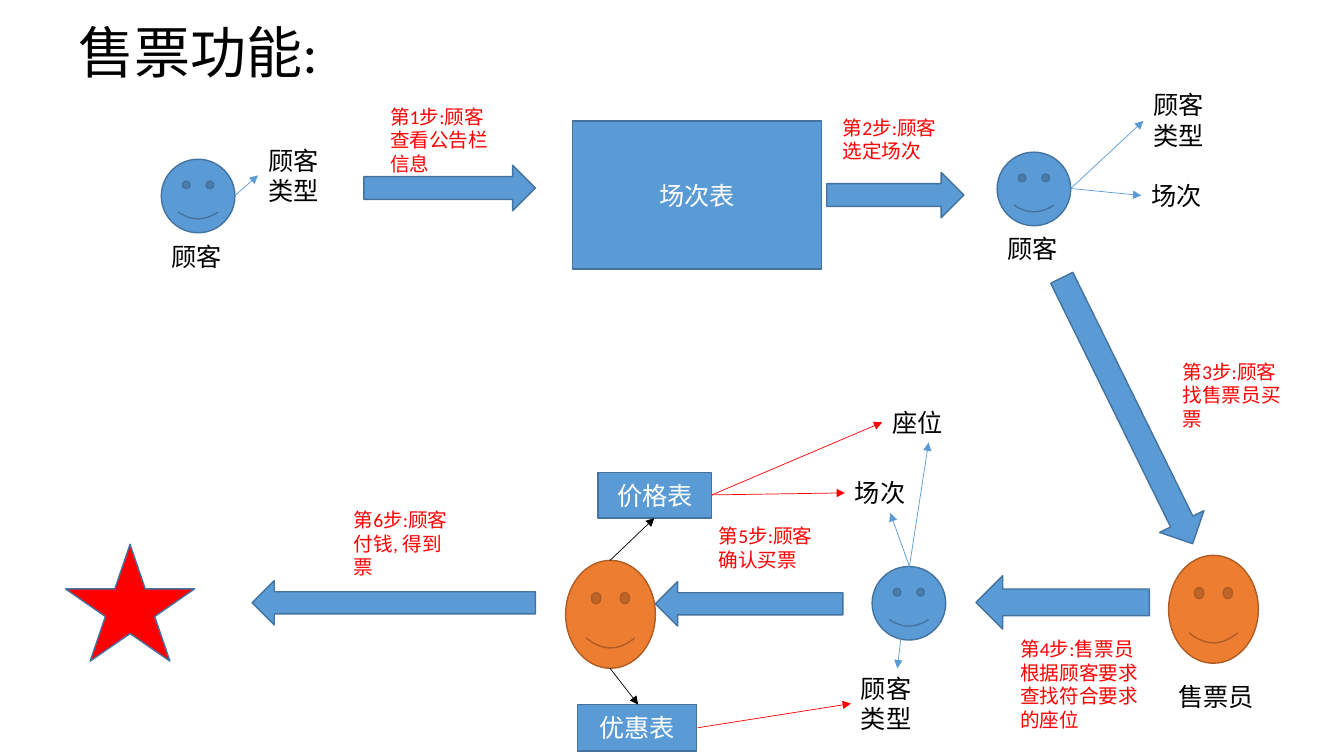
from pptx import Presentation
from pptx.dml.color import RGBColor
from pptx.enum.shapes import MSO_CONNECTOR as Connector, MSO_SHAPE as Shape
from pptx.enum.text import MSO_ANCHOR as Anchor, MSO_AUTO_SIZE as AutoSize, PP_ALIGN as Align
from pptx.oxml.ns import qn
from pptx.util import Inches, Pt
from lxml.etree import SubElement

COLORS = {
    "blue": "5B9BD5", "blue edge": "43739E",
    "orange": "ED7D31", "orange edge": "AF5C24",
    "red": "FF0000", "black": "000000", "white": "FFFFFF",
}
FACE = (0.73, 0.73)
SELLER = (0.89, 1.07)
SHORT = (0.91, 0.4)
TALL = (0.91, 0.71)

FACES = [
    ((1.6, 1.58), FACE, "blue"),
    ((9.89, 1.51), FACE, "blue"),
    ((8.65, 5.62), FACE, "blue"),
    ((11.59, 5.51), SELLER, "orange"),
    ((5.61, 5.56), SELLER, "orange"),
]
BLOCK_ARROWS = [
    ((3.61, 1.64), (1.7, 0.45), 0),
    ((8.2, 1.71), (1.36, 0.45), 0),
    ((9.71, 3.83), (2.94, 0.49), 63.8),
    ((9.68, 5.71), (1.72, 0.53), 180),
    ((6.5, 5.77), (1.86, 0.44), 180),
    ((2.5, 5.76), (2.81, 0.44), 180),
]
TABLES = [
    ("场次表", (5.68, 1.2), (2.47, 1.47)),
    ("价格表", (5.93, 4.69), (1.13, 0.45)),
    ("优惠表", (5.73, 6.99), (1.18, 0.46)),
]
LABELS = [
    ("顾客", (1.6, 2.34), (0.73, 0.4)),
    ("顾客类型", (2.56, 1.39), TALL),
    ("顾客", (9.89, 2.27), (0.73, 0.4)),
    ("顾客类型", (11.34, 0.84), TALL),
    ("场次", (11.32, 1.74), SHORT),
    ("售票员", (11.59, 6.71), (1.24, 0.4)),
    ("顾客类型", (8.44, 6.63), TALL),
    ("场次", (8.38, 4.69), SHORT),
    ("座位", (8.75, 3.99), SHORT),
]
STEPS = [
    ("顾客查看公告栏信息", (3.77, 0.99), (1.2, 0.81)),
    ("顾客选定场次", (8.26, 1.1), (1.2, 0.57)),
    ("顾客找售票员买票", (11.63, 3.52), (1.2, 0.81)),
    ("售票员根据顾客要求查找符合要求的座位", (10.02, 6.27), (1.38, 1.04)),
    ("顾客确认买票", (7.03, 5.15), (1.2, 0.57)),
    ("顾客付钱, 得到票", (3.41, 4.99), (1.2, 0.81)),
]
LINKS = [
    ("blue", (2.33, 1.94), [(2.56, 1.74)]),
    ("blue", (10.62, 1.87), [(11.34, 1.2), (11.32, 1.94)]),
    ("blue", (9.02, 5.62), [(8.9, 6.63), (8.83, 5.09), (9.21, 4.39)]),
    ("black", (6.05, 6.63), [(6.33, 6.99)]),
    ("black", (6.05, 5.56), [(6.49, 5.14)]),
    ("red", (7.06, 4.91), [(8.38, 4.89), (8.75, 4.19)]),
    ("red", (6.92, 7.22), [(8.44, 6.98)]),
]


def color(name):
    """Return the named colour."""
    return RGBColor.from_string(COLORS[name])


def apply(target, values):
    """Set each attribute in values on target."""
    for name, value in values.items():
        setattr(target, name, value)


def write(box, text, size, ink, para_format=None, **frame_format):
    """Put one formatted paragraph in a box."""
    apply(box.text_frame, {"word_wrap": True, **frame_format})
    para = box.text_frame.paragraphs[0]
    apply(para, para_format or {})
    span = para.add_run()
    span.text = text
    apply(span.font, {"name": "Calibri", "size": Pt(size)})
    span.font.color.rgb = color(ink)


def add_label(page, text, place, size, points=18, ink="black"):
    """Add a left-aligned text box."""
    box = page.shapes.add_textbox(*map(Inches, place + size))
    write(box, text, points, ink, auto_size=AutoSize.SHAPE_TO_FIT_TEXT)


def add_figure(page, kind, place, size, fill="blue", edge="blue edge", turn=0):
    """Add a filled and outlined preset shape."""
    figure = page.shapes.add_shape(kind, *map(Inches, place + size))
    figure.shadow.inherit = False
    figure.fill.solid()
    figure.fill.fore_color.rgb = color(fill)
    figure.line.color.rgb = color(edge)
    figure.line.width = Pt(1)
    figure.rotation = turn
    return figure


def add_link(page, start, end, ink):
    """Add a thin line with an arrowhead at its end."""
    link = page.shapes.add_connector(Connector.STRAIGHT, *map(Inches, start + end))
    link.line.color.rgb = color(ink)
    link.line.width = Pt(0.5)
    SubElement(link.line._get_or_add_ln(), qn("a:tailEnd"), type="triangle")
    SubElement(link._element.spPr, qn("a:effectLst"))


def add_title(page, text):
    """Add the slide heading."""
    box = page.shapes.add_textbox(*map(Inches, (0.61, 0.08, 2.71, 0.82)))
    write(box, text, 40, "black", {"alignment": Align.CENTER, "line_spacing": 0.9},
          vertical_anchor=Anchor.BOTTOM)


def main():
    """Build the ticket sales flow and save it."""
    deck = Presentation()
    apply(deck, {"slide_width": Inches(13.33), "slide_height": Inches(7.5)})
    page = deck.slides.add_slide(deck.slide_layouts[6])
    add_title(page, "售票功能:")
    for place, size, fill in FACES:
        add_figure(page, Shape.SMILEY_FACE, place, size, fill, f"{fill} edge")
    for place, size, turn in BLOCK_ARROWS:
        add_figure(page, Shape.RIGHT_ARROW, place, size, turn=turn)
    for text, place, size in TABLES:
        table_box = add_figure(page, Shape.RECTANGLE, place, size)
        write(table_box, text, 18, "white", {"alignment": Align.CENTER},
              vertical_anchor=Anchor.MIDDLE)
    add_figure(page, Shape.STAR_5_POINT, (0.65, 5.4), (1.28, 1.16), "red")
    for text, place, size in LABELS:
        add_label(page, text, place, size)
    for number, (text, place, size) in enumerate(STEPS, 1):
        add_label(page, f"第{number}步:{text}", place, size, 14, "red")
    for ink, start, ends in LINKS:
        for end in ends:
            add_link(page, start, end, ink)
    deck.save("out.pptx")


main()
